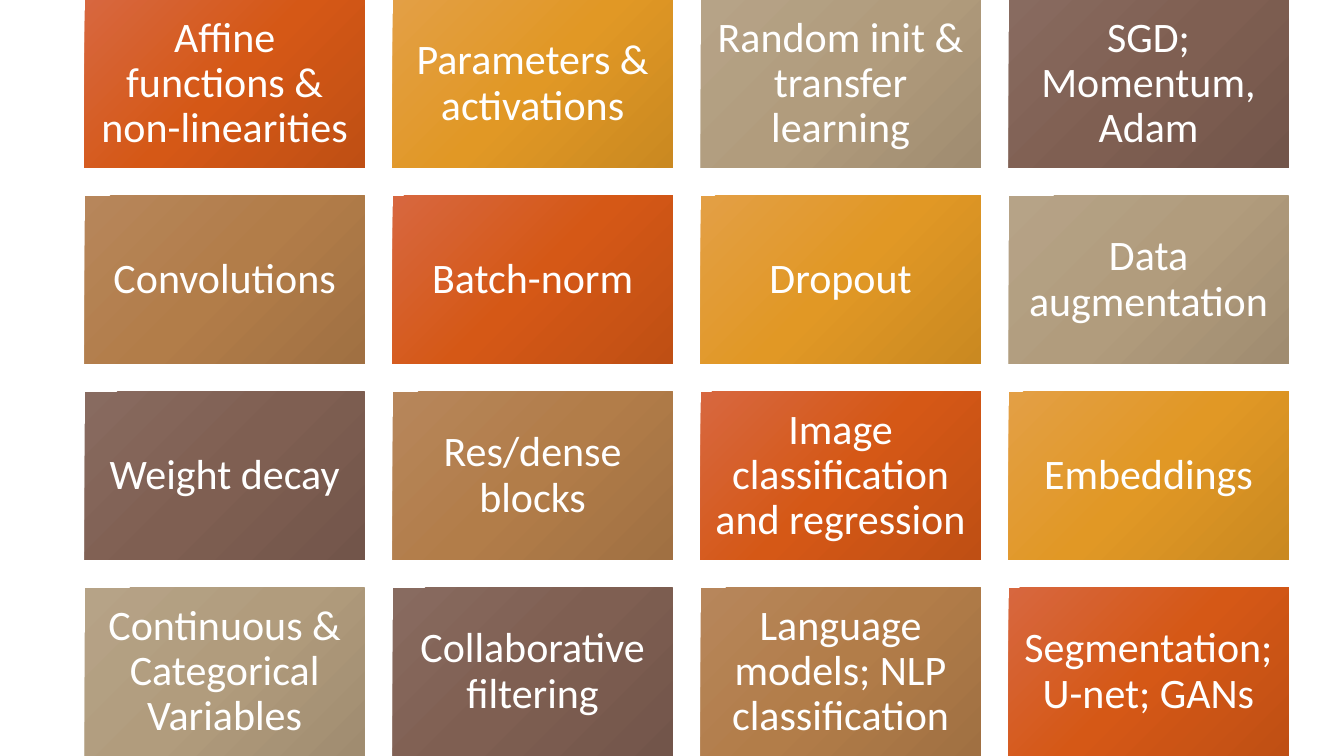
from copy import deepcopy
from dataclasses import dataclass

from pptx import Presentation
from pptx.dml.color import RGBColor
from pptx.enum.shapes import MSO_SHAPE
from pptx.enum.text import MSO_ANCHOR, PP_ALIGN
from pptx.oxml.ns import qn
from pptx.util import Inches, Pt

RECT = MSO_SHAPE.RECTANGLE
MIDDLE = MSO_ANCHOR.MIDDLE
CENTER = PP_ALIGN.CENTER


@dataclass(frozen=True)
class Theme:
    """Colours and type of the slide."""
    font: str = "Calibri"
    size: int = 30
    ink: str = "FFFFFF"
    fills: tuple = (
        ("D7673F", "D55816", "BF4F14"),
        ("E39F45", "E19825", "CA8921"),
        ("B6A387", "B19C7D", "A08C70"),
        ("886B60", "7F5F52", "72554A"),
        ("B7865B", "B27D49", "A07042"),
    )


THEME = Theme()
WIDTH, HEIGHT = Inches(13.33), Inches(7.5)
COLS = 4
TOPICS = (
    "Affine functions & non-linearities",
    "Parameters & activations",
    "Random init & transfer learning",
    "SGD; Momentum, Adam",
    "Convolutions",
    "Batch-norm",
    "Dropout",
    "Data augmentation",
    "Weight decay",
    "Res/dense blocks",
    "Image classification and regression",
    "Embeddings",
    "Continuous & Categorical Variables",
    "Collaborative filtering",
    "Language models; NLP classification",
    "Segmentation; U-net; GANs",
)


def shade(shape, hues):
    """Fill a shape with a diagonal gradient of three even stops."""
    fill = shape.fill
    fill.gradient()
    fill.gradient_angle = 315
    first = shape._element.spPr.find(qn("a:gradFill")).find(qn("a:gsLst"))[0]
    first.addnext(deepcopy(first))
    for step, (stop, hue) in enumerate(zip(fill.gradient_stops, hues)):
        stop.position = step / 2
        stop.color.rgb = RGBColor.from_string(hue)


def add_tile(slide, box, text, hues):
    """Draw one topic tile in the given box."""
    tile = slide.shapes.add_shape(RECT, *box)
    tile.shadow.inherit = False
    tile.line.fill.background()
    shade(tile, hues)
    frame = tile.text_frame
    frame.word_wrap = True
    frame.vertical_anchor = MIDDLE
    inset = Inches(0.12)
    frame.margin_left = frame.margin_right = inset
    frame.margin_top = frame.margin_bottom = inset
    para = frame.paragraphs[0]
    para.alignment = CENTER
    para.line_spacing = 0.9
    run = para.add_run()
    run.text = text
    run.font.name = THEME.font
    run.font.size = Pt(THEME.size)
    run.font.color.rgb = RGBColor.from_string(THEME.ink)


def add_grid(slide, box, topics):
    """Lay topics out in rows, with gaps a tenth of a tile wide."""
    left, top, width, height = box
    rows = len(topics) // COLS
    wide = width / (COLS + (COLS - 1) / 10)
    gap = wide / 10
    high = (height - (rows - 1) * gap) / rows
    for index, topic in enumerate(topics):
        row, col = divmod(index, COLS)
        spot = (left + col * (wide + gap), top + row * (high + gap), wide, high)
        hues = THEME.fills[index % len(THEME.fills)]
        add_tile(slide, [round(part) for part in spot], topic, hues)


def main():
    """Build and save the slide."""
    deck = Presentation()
    deck.slide_width, deck.slide_height = WIDTH, HEIGHT
    slide = deck.slides.add_slide(deck.slide_layouts[6])
    add_grid(slide, (Inches(0.84), 0, Inches(11.94), HEIGHT), TOPICS)
    deck.save("out.pptx")


if __name__ == "__main__":
    main()
